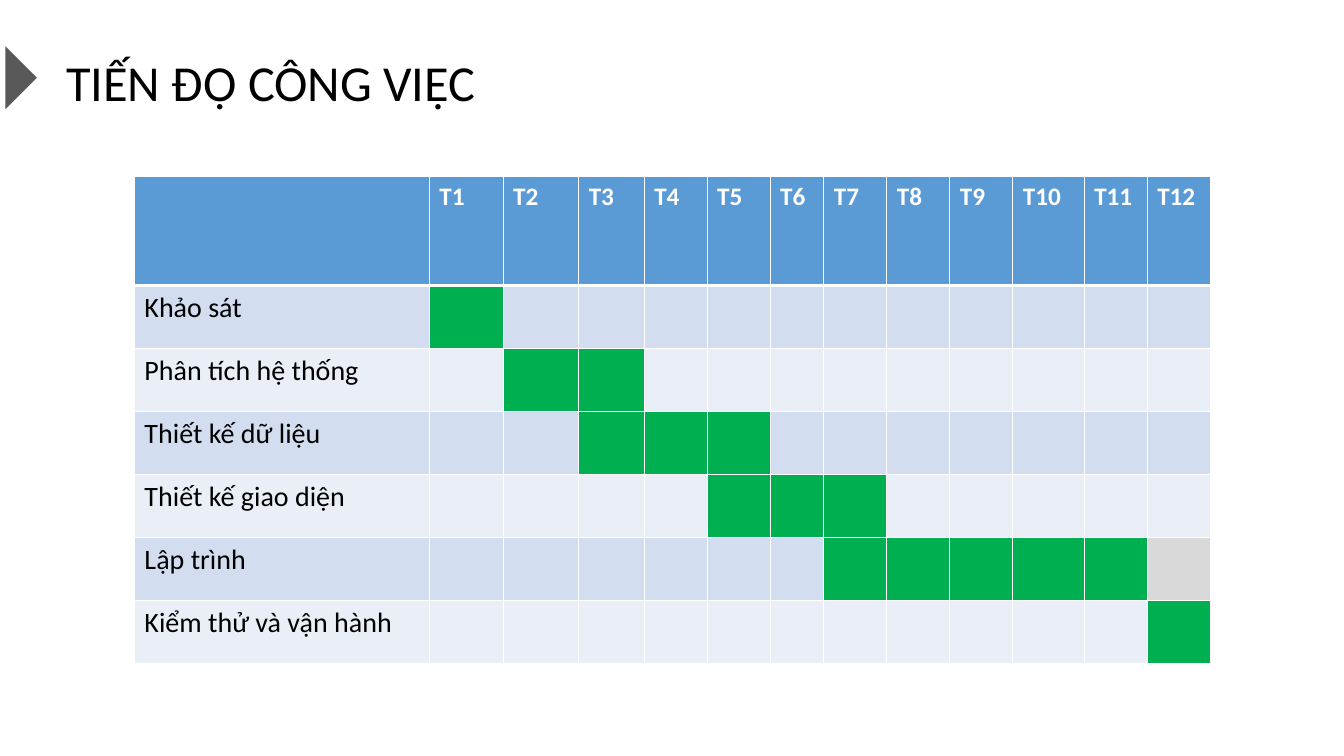
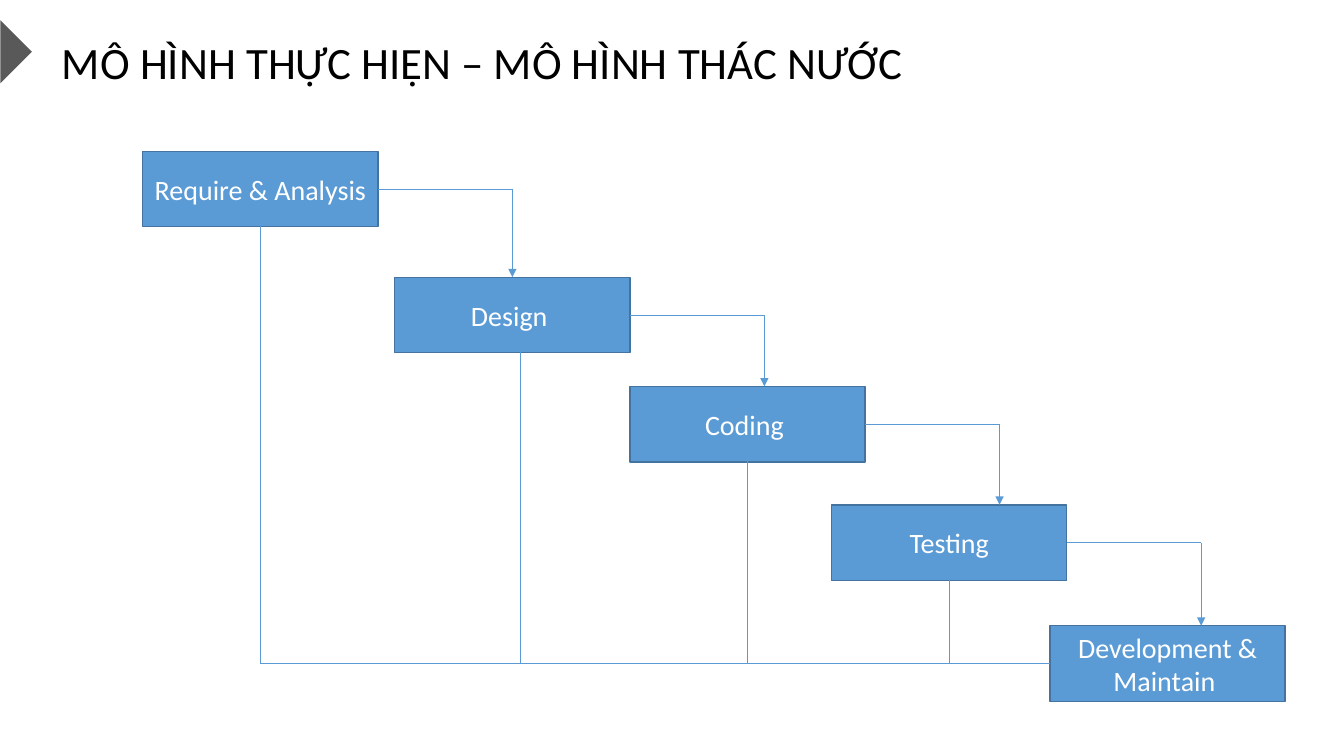
from lxml import etree
from pptx import Presentation
from pptx.dml.color import RGBColor
from pptx.enum.shapes import MSO_CONNECTOR, MSO_SHAPE
from pptx.enum.text import MSO_ANCHOR, MSO_AUTO_SIZE, PP_ALIGN
from pptx.oxml import parse_xml
from pptx.oxml.ns import nsdecls, qn
from pptx.util import Inches, Pt

RECT, WEDGE = MSO_SHAPE.RECTANGLE, MSO_SHAPE.RIGHT_TRIANGLE
STRAIGHT = MSO_CONNECTOR.STRAIGHT
LEFT, CENTER = PP_ALIGN.LEFT, PP_ALIGN.CENTER
MIDDLE = MSO_ANCHOR.MIDDLE
GROW = MSO_AUTO_SIZE.SHAPE_TO_FIT_TEXT

FONT = "Calibri"
BLACK, WHITE, GRAY = "000000", "FFFFFF", "595959"
BLUE, EDGE = "5B9BD5", "43739E"
BANDS = ("D2DEEF", "EAEFF7")
DONE, SPARE = "00B050", "D9D9D9"

# The slide is a grid of 160 columns by 90 rows.
COLS, ROWS = 160, 90
UNIT = Inches(13.333) / COLS

MONTHS = [f"T{n}" for n in range(1, 13)]
WIDTHS = [35.1, 8.8, 9, 7.8, 7.5, 7.5, 6.4, 7.5, 7.5, 7.5, 8.5, 7.5, 7.5]
# Task, first month, last month
TASKS = [
    ("Khảo sát", 1, 1),
    ("Phân tích hệ thống", 2, 3),
    ("Thiết kế dữ liệu", 3, 5),
    ("Thiết kế giao diện", 5, 7),
    ("Lập trình", 7, 11),
    ("Kiểm thử và vận hành", 12, 12),
]
SPARES = {("Lập trình", 12)}

# Phase, column, row, offset of its return line
PHASES = [
    ("Require & Analysis", 17, 18, 14),
    ("Design ", 47, 33, 15),
    ("Coding ", 75, 46, 14),
    ("Testing", 99, 60.1, 14),
    ("Development & Maintain ", 125, 74.5, 14),
]
WIDE, HIGH = 28, 9
REACH, DEPTH = 16, 2


def color(code):
    """Turn a hex string into a colour."""
    return RGBColor.from_string(code)


def grid(*spans):
    """Turn grid units into slide lengths."""
    return [round(span * UNIT) for span in spans]


def write(frame, text, size=20, ink=BLACK, bold=False, align=LEFT):
    """Put formatted text in a frame."""
    para = frame.paragraphs[0]
    para.alignment = align
    run = para.add_run()
    run.text = text
    font = run.font
    font.name, font.size, font.bold = FONT, Pt(size), bold
    font.color.rgb = color(ink)


def shape(slide, kind, box, fill, edge=None):
    """Add a flat preset shape."""
    item = slide.shapes.add_shape(kind, *grid(*box))
    item.shadow.inherit = False
    item.fill.solid()
    item.fill.fore_color.rgb = color(fill)
    if edge:
        item.line.color.rgb = color(edge)
        item.line.width = Pt(1)
    else:
        item.line.fill.background()
    return item


def link(slide, start, end, arrow=False):
    """Draw a thin line, with an arrowhead at its end on request."""
    line = slide.shapes.add_connector(STRAIGHT, *grid(*start, *end))
    line.line.color.rgb = color(BLUE)
    line.line.width = Pt(0.5)
    if arrow:
        etree.SubElement(line.line._get_or_add_ln(), qn("a:tailEnd"),
                         type="triangle")
    etree.SubElement(line._element.spPr, qn("a:effectLst"))


def head(slide, text, box, mark, size):
    """Write the title in its box, with the wedge at the slide's edge."""
    item = slide.shapes.add_textbox(*grid(*box))
    frame = item.text_frame
    frame.word_wrap = False
    frame.auto_size = GROW
    write(frame, text, size=size)
    wedge = shape(slide, WEDGE, (*mark, 5.3, 5.3), GRAY)
    wedge.rotation = 225


def paint(cell, fill, base=1):
    """Give a cell white borders and a fill; base is the lower border."""
    props = cell._tc.get_or_add_tcPr()
    for side, width in (("L", 1), ("R", 1), ("T", 1), ("B", base)):
        props.append(parse_xml(
            f'<a:ln{side} {nsdecls("a")} w="{Pt(width)}"><a:solidFill>'
            f'<a:srgbClr val="{WHITE}"/></a:solidFill></a:ln{side}>'))
    cell.fill.solid()
    cell.fill.fore_color.rgb = color(fill)


def plan(slide, box):
    """Fill a box with the table of tasks by month."""
    frame = slide.shapes.add_table(len(TASKS) + 1, len(WIDTHS), *grid(*box))
    table = frame.table
    for col, width in zip(table.columns, grid(*WIDTHS)):
        col.width = width
    first = 13
    rest = (box[3] - first) / len(TASKS)
    for row, height in zip(table.rows, grid(first, *[rest] * len(TASKS))):
        row.height = height
    for col, month in enumerate(["", *MONTHS]):
        cell = table.cell(0, col)
        paint(cell, BLUE, base=3)
        if month:
            write(cell.text_frame, month, size=18, ink=WHITE, bold=True)
    for row, (task, start, end) in enumerate(TASKS, 1):
        for col in range(len(WIDTHS)):
            fill = BANDS[(row - 1) % 2]
            if start <= col <= end:
                fill = DONE
            elif (task, col) in SPARES:
                fill = SPARE
            paint(table.cell(row, col), fill)
        write(table.cell(row, 0).text_frame, task)


def falls(slide):
    """Draw the phases as stairs, with arrows down and lines back up."""
    for text, left, top, _ in PHASES:
        item = shape(slide, RECT, (left, top, WIDE, HIGH), BLUE, EDGE)
        item.text_frame.word_wrap = True
        item.text_frame.vertical_anchor = MIDDLE
        write(item.text_frame, text, ink=WHITE, align=CENTER)
    last = PHASES[-1]
    floor = last[2] + HIGH / 2
    for (_, left, top, shift), after in zip(PHASES, PHASES[1:]):
        right, mid = left + WIDE, top + HIGH / 2
        turn = right + REACH
        link(slide, (right, mid), (turn, mid))
        link(slide, (turn, mid), (turn, after[2]), arrow=True)
        back = left + shift
        link(slide, (back, floor), (back, top + HIGH - DEPTH), arrow=True)
    link(slide, (last[1], floor), (PHASES[0][1] + PHASES[0][3], floor))


def main():
    """Build and save both slides."""
    deck = Presentation()
    deck.slide_width, deck.slide_height = grid(COLS, ROWS)
    blank = deck.slide_layouts[6]

    slide = deck.slides.add_slide(blank)
    head(slide, "TIẾN ĐỘ CÔNG VIỆC", (6.7, 5.5, 55.8, 8.5), (-2, 6.6), 36)
    plan(slide, (16, 21, 128, 58))

    slide = deck.slides.add_slide(blank)
    head(slide, "MÔ HÌNH THỰC HIỆN – MÔ HÌNH THÁC NƯỚC",
         (6.2, 3.5, 112, 7.7), (-2.6, 3.5), 32)
    falls(slide)

    deck.save("out.pptx")


main()
